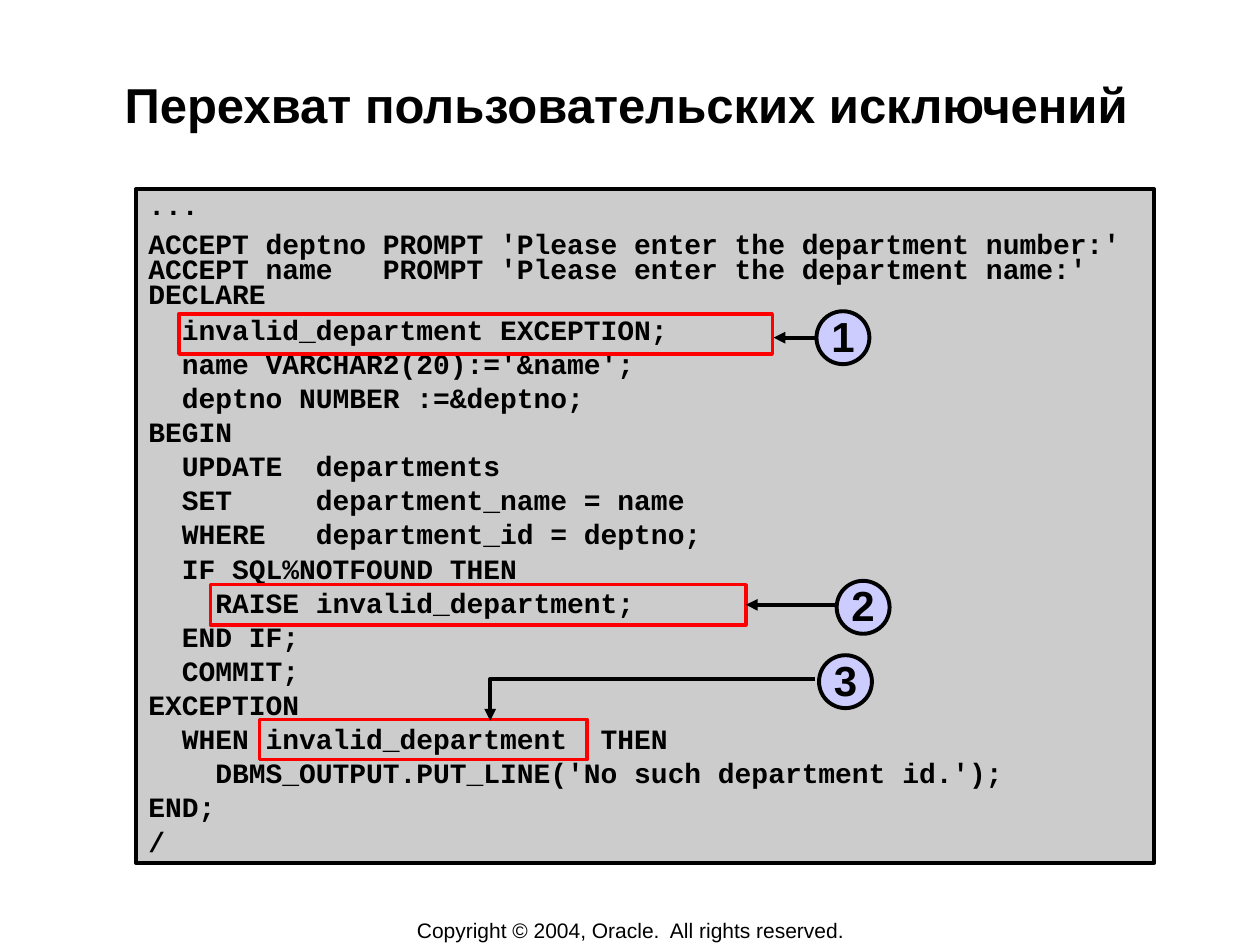
from pptx import Presentation
from pptx.dml.color import RGBColor
from pptx.enum import shapes, text
from pptx.oxml.ns import qn
from pptx.util import Inches, Pt
from lxml import etree

COLORS = {"ink": "000000", "code": "CCCCCC", "frame": "FF0000", "badge": "CCCCFF"}


def write(shape, lines, face, size, bold, align, anchor, margins, wrap):
    frame = shape.text_frame
    frame.word_wrap = wrap
    frame.vertical_anchor = anchor
    frame.margin_left = frame.margin_right = Inches(margins[0])
    frame.margin_top = frame.margin_bottom = Inches(margins[1])
    for index, line in enumerate(lines):
        paragraph = frame.add_paragraph() if index else frame.paragraphs[0]
        paragraph.text = line
        paragraph.alignment = align
        paragraph.font.name = face
        paragraph.font.size = Pt(size)
        paragraph.font.bold = bold
        paragraph.font.color.rgb = RGBColor.from_string(COLORS["ink"])
    return frame.paragraphs


def style(shape, line, width, fill=None, arrow=False):
    shape.line.color.rgb = RGBColor.from_string(COLORS[line])
    shape.line.width = Pt(width)
    if fill:
        shape.fill.solid()
        shape.fill.fore_color.rgb = RGBColor.from_string(COLORS[fill])
    elif hasattr(shape, "fill"):
        shape.fill.background()
    if arrow:
        etree.SubElement(shape.line._get_or_add_ln(), qn("a:tailEnd"), type="triangle")
    if hasattr(shape, "shadow"):
        shape.shadow.inherit = False
    else:
        etree.SubElement(shape._element.spPr, qn("a:effectLst"))


LEFT, CENTER = text.PP_ALIGN.LEFT, text.PP_ALIGN.CENTER
TOP, MIDDLE = text.MSO_ANCHOR.TOP, text.MSO_ANCHOR.MIDDLE
RECTANGLE, OVAL = shapes.MSO_SHAPE.RECTANGLE, shapes.MSO_SHAPE.OVAL

presentation = Presentation()
presentation.slide_width = Inches(10)
presentation.slide_height = Inches(7.5)
slide = presentation.slides.add_slide(presentation.slide_layouts[6])
canvas = slide.shapes

copyright_line = canvas.add_textbox(Inches(2.76), Inches(7.28), Inches(4.49), Inches(0.21))
write(copyright_line, ["Copyright © 2004, Oracle.  All rights reserved."],
      "Arial", 12, False, CENTER, MIDDLE, (0.1, 0.05), False)

title = canvas.add_textbox(Inches(0.97), Inches(0.58), Inches(8), Inches(0.96))
write(title, ["Перехват пользовательских исключений"],
      "Arial", 28, True, CENTER, TOP, (0.01, 0.01), True)

code_lines = [
    "...",
    "ACCEPT deptno PROMPT 'Please enter the department number:' "
    "ACCEPT name   PROMPT 'Please enter the department name:'\nDECLARE",
    "  invalid_department EXCEPTION;",
    "  name VARCHAR2(20):='&name';",
    "  deptno NUMBER :=&deptno;",
    "BEGIN",
    "  UPDATE  departments",
    "  SET     department_name = name",
    "  WHERE   department_id = deptno;",
    "  IF SQL%NOTFOUND THEN",
    "    RAISE invalid_department;",
    "  END IF;",
    "  COMMIT;",
    "EXCEPTION",
    "  WHEN invalid_department  THEN",
    "    DBMS_OUTPUT.PUT_LINE('No such department id.');",
    "END;",
    "/",
]
code = canvas.add_shape(RECTANGLE, Inches(1.08), Inches(1.5), Inches(8.08), Inches(5.35))
style(code, "ink", 2.25, "code")
paragraphs = write(code, code_lines, "Courier New", 16, True, LEFT, TOP, (0.1, 0.05), True)
for index, paragraph in enumerate(paragraphs):
    paragraph.line_spacing = 0.75 if index < 2 else 0.6
    paragraph.space_before = Pt(8 if index else 0)

highlights = []
for left, top, width in [(1.42, 2.49, 4.71), (1.67, 4.64, 4.25), (2.06, 5.71, 2.6)]:
    highlight = canvas.add_shape(RECTANGLE, Inches(left), Inches(top), Inches(width), Inches(0.32))
    style(highlight, "frame", 2)
    highlights.append(highlight)
declaration, raising, handler = highlights

for number, (left, top) in enumerate([(6.48, 2.47), (6.64, 4.61), (6.5, 5.2)], 1):
    badge = canvas.add_shape(OVAL, Inches(left), Inches(top), Inches(0.42), Inches(0.42))
    style(badge, "ink", 2.25, "badge")
    label = write(badge, [str(number)], "Arial", 24, True, CENTER, MIDDLE, (0.05, 0.05), False)
    label[0].line_spacing = 0.95

for start, end, y, target in [(6.48, 6.14, 2.68, None), (6.64, 5.92, 4.8, raising)]:
    arrow = canvas.add_connector(shapes.MSO_CONNECTOR.STRAIGHT,
                                 Inches(start), Inches(y), Inches(end), Inches(y))
    style(arrow, "ink", 2.25, arrow=True)
    if target:
        arrow.end_connect(target, 3)

outline = canvas.build_freeform(Inches(6.47), Inches(5.39))
outline.add_line_segments([(Inches(3.89), Inches(5.39)), (Inches(3.89), Inches(5.72))], close=False)
style(outline.convert_to_shape(), "ink", 2.25, arrow=True)

presentation.save("out.pptx")
